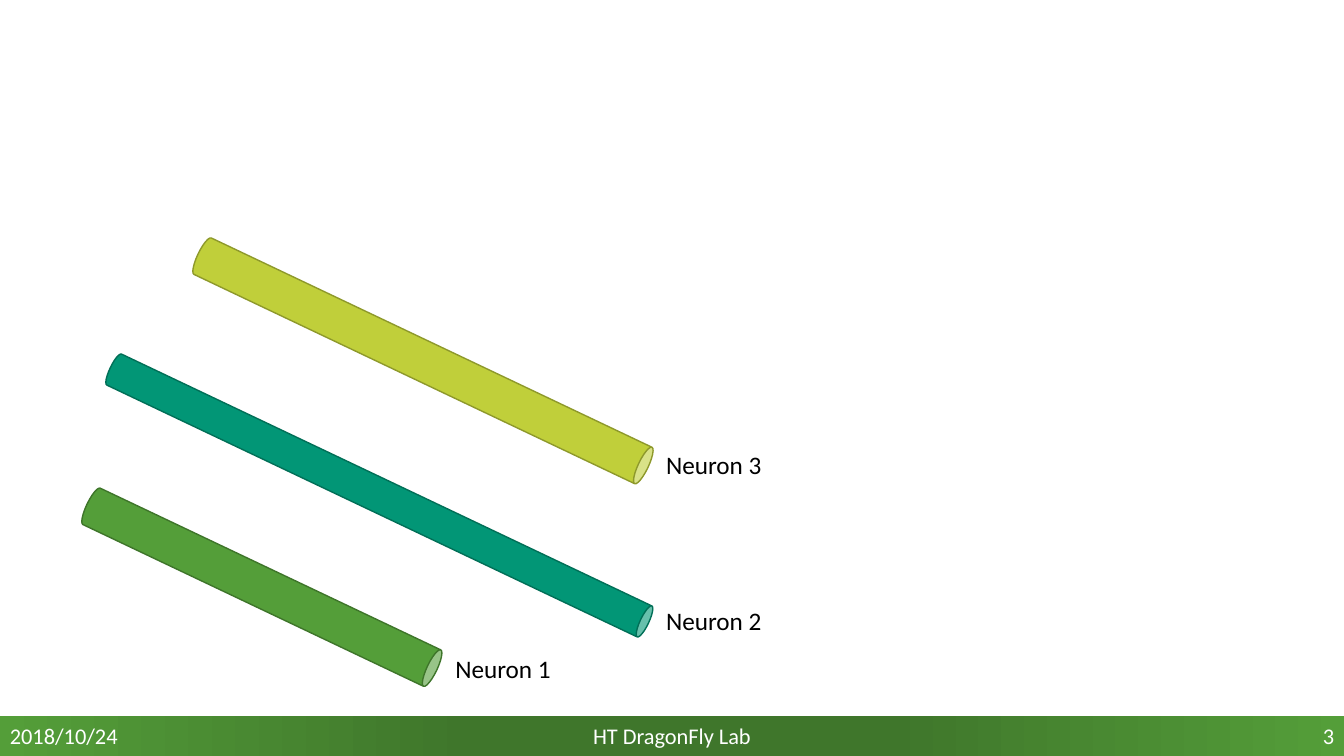
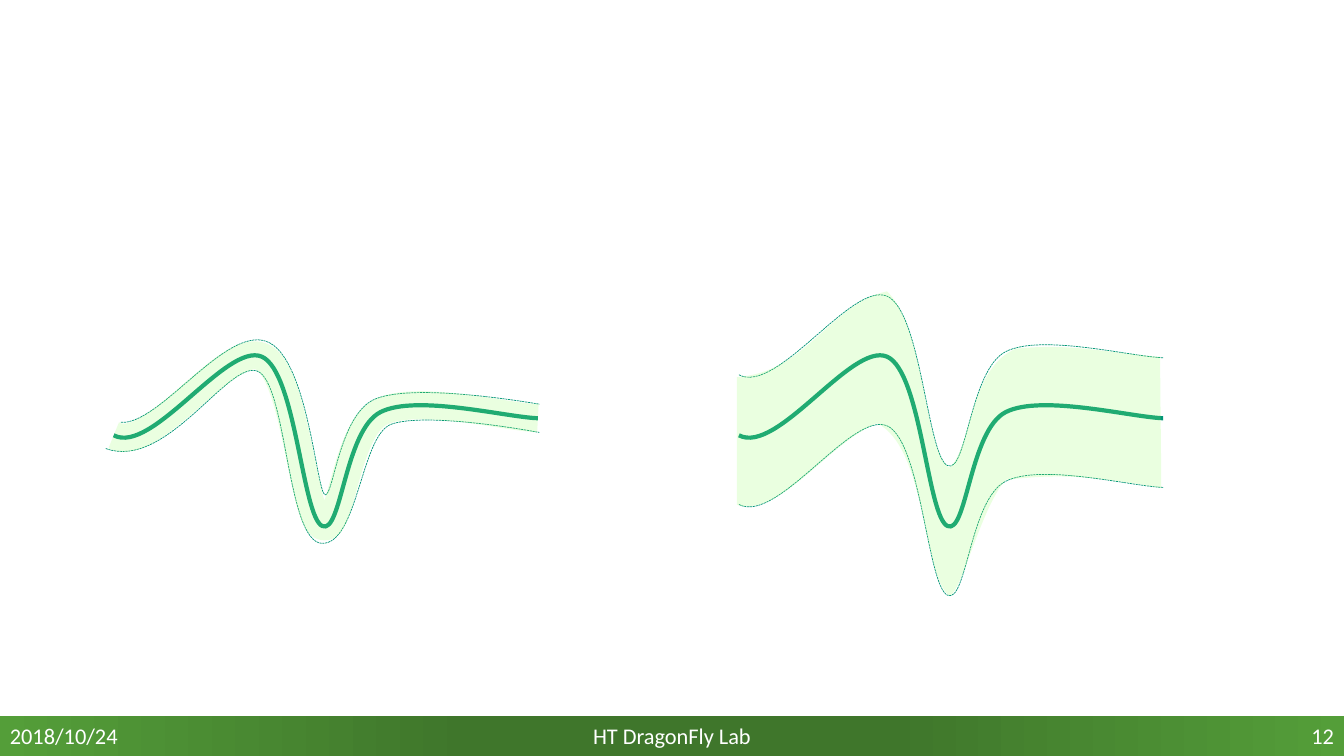
from dataclasses import dataclass

from lxml import etree
from pptx import Presentation
from pptx import util as u
from pptx.dml.color import RGBColor
from pptx.enum import dml, shapes, text
from pptx.oxml import ns


@dataclass(frozen=True)
class Theme:
    font: str = "Calibri"
    footer_size: float = 16
    label_size: float = 18
    white: str = "FFFFFF"
    black: str = "000000"
    green: str = "549E39"
    dark_green: str = "3F762B"
    green_edge: str = "3E752A"
    lime: str = "C0CF3A"
    lime_edge: str = "8E992B"
    teal: str = "029676"
    teal_edge: str = "016F57"
    glow: str = "99FF66"
    glow_opacity: int = 20
    curve_width: float = 3
    bound_width: float = 0.5
    halo_width: float = 20


THEME = Theme()
SLIDE_WIDTH, SLIDE_HEIGHT = 960, 540
FOOTER_HEIGHT = 28.8
FOOTER_TOP = SLIDE_HEIGHT - FOOTER_HEIGHT
FOOTER_STOPS = [(0, THEME.green), (35, THEME.dark_green), (66, THEME.dark_green), (100, THEME.green)]
DATE = "2018/10/24"
LAB = "HT DragonFly Lab"

NEURON_ANGLE = 115.4
NEURONS = [
    ("Neuron 1", (172.6, 281.2, 28.8, 276.5), (318.2, 462.8), THEME.green, THEME.green_edge),
    ("Neuron 3", (287.7, 79.9, 28.8, 355.7), (468.7, 317.5), THEME.lime, THEME.lime_edge),
    ("Neuron 2", (258.7, 141.2, 24.5, 425.5), (468.7, 428.6), THEME.teal, THEME.teal_edge),
]
LABEL_WIDTH, LABEL_HEIGHT = 132.5, 28.8

BOUND_STEPS = 24
SIGNAL = [
    (0, 0), (27.4, 14.4), (80.6, -67), (105.8, -56.2),
    (130.3, -45.4), (134.6, 58.3), (149, 64.8),
    (162.7, 71.3), (164.9, -3.6), (190.6, -16.6),
    (216, -29.5), (280.1, -13), (303, -12.2),
]
LEFT_ORIGIN = (81.2, 311)
RIGHT_ORIGIN = (527.8, 311)
RIGHT_BOUND_SHIFTS = (-43.2, 49.4)
LEFT_BOUNDS = [
    [
        (86.4, 301.7), (113.8, 303.8), (160.6, 233.3), (190.1, 243.8),
        (220.3, 254.2), (226.1, 353.5), (232.4, 353.5),
        (238.3, 353.5), (242.6, 295.9), (267.8, 285.1),
        (293.8, 274.3), (363.6, 285.1), (385.2, 288.7),
    ],
    [
        (75.6, 320.4), (118.8, 336.2), (162.7, 257.8), (183.6, 265),
        (205.2, 272.9), (204.5, 385.9), (229.7, 388.1),
        (255.6, 389.5), (257.8, 311), (279.4, 303.1),
        (301, 295.2), (362.2, 304.6), (385.2, 308.9),
    ],
]
RIGHT_REGION = [
    (526.3, 360.7), (558, 369.4), (591.8, 316.1), (626.4, 302.4),
    (661.7, 319), (659.5, 412.6), (678.2, 425.5),
    (686.9, 423.4), (701.3, 360.7), (718.6, 342.7),
    (748.1, 339.8), (768.2, 337.7), (829.4, 348.5),
    (829.4, 317.5), (828.7, 286.6), (828.7, 254.9),
    (794.2, 252.7), (765.4, 244.8), (725.8, 249.1),
    (692.6, 262.1), (694.1, 320.4), (678.2, 334.1),
    (660.2, 324.7), (661, 234.7), (633.6, 208.1),
    (593.3, 216.7), (576, 266.4), (526.3, 269.3),
]


def color(value):
    return RGBColor.from_string(value)


def points(*values):
    return [u.Pt(value) for value in values]


def set_opacity(parent, percent):
    swatch = parent.find(f"{ns.qn('a:solidFill')}/{ns.qn('a:srgbClr')}")
    etree.SubElement(swatch, ns.qn("a:alpha"), val=str(percent * 1000))


def add_preset(slide, kind, box):
    shape = slide.shapes.add_shape(kind, *points(*box))
    shape.shadow.inherit = False
    return shape


def add_text(slide, box, content, size, ink, align=text.PP_ALIGN.LEFT):
    shape = slide.shapes.add_textbox(*points(*box))
    frame = shape.text_frame
    frame.word_wrap = True
    paragraph = frame.paragraphs[0]
    paragraph.alignment = align
    run = paragraph.add_run()
    run.text = content
    run.font.name = THEME.font
    run.font.size = u.Pt(size)
    run.font.color.rgb = color(ink)
    return frame


def add_footer(slide, number):
    band = add_preset(slide, shapes.MSO_SHAPE.RECTANGLE, (0, FOOTER_TOP, SLIDE_WIDTH, FOOTER_HEIGHT))
    band.line.fill.background()
    band.fill.gradient()
    band.fill.gradient_angle = 0
    stops = band._element.spPr.find(f"{ns.qn('a:gradFill')}/{ns.qn('a:gsLst')}")
    for stop in list(stops):
        stops.remove(stop)
    for position, value in FOOTER_STOPS:
        stop = etree.SubElement(stops, ns.qn("a:gs"), pos=str(position * 1000))
        etree.SubElement(stop, ns.qn("a:srgbClr"), val=value)
    for content, left, width, align in [
        (DATE, 0, 216, text.PP_ALIGN.LEFT),
        (LAB, (SLIDE_WIDTH - 324) / 2, 324, text.PP_ALIGN.CENTER),
        (number, SLIDE_WIDTH - 216, 216, text.PP_ALIGN.RIGHT),
    ]:
        box = (left, FOOTER_TOP, width, FOOTER_HEIGHT)
        frame = add_text(slide, box, content, THEME.footer_size, THEME.white, align)
        frame.vertical_anchor = text.MSO_ANCHOR.MIDDLE


def shift(curve, origin, down=0):
    return [(x + origin[0], y + origin[1] + down) for x, y in curve]


def curve_extent(values):
    reached = []
    for first in range(0, len(values) - 1, 3):
        a, b, c, d = values[first:first + 4]
        for step in range(BOUND_STEPS + 1):
            t = step / BOUND_STEPS
            s = 1 - t
            reached.append(a * s ** 3 + 3 * b * s * s * t + 3 * c * s * t * t + d * t ** 3)
    return min(reached), max(reached)


def add_outline(slide, controls, close=False):
    anchors = [points(*anchor) for anchor in controls[::3]]
    builder = slide.shapes.build_freeform(*anchors[0])
    builder.add_line_segments(anchors[1:], close=close)
    shape = builder.convert_to_shape()
    shape.shadow.inherit = False

    (left, right), (top, bottom) = (curve_extent(values) for values in zip(*controls))
    shape.left, shape.top, shape.width, shape.height = points(left, top, right - left, bottom - top)
    outline = next(shape._element.iter(ns.qn("a:path")))
    outline.set("w", str(shape.width))
    outline.set("h", str(shape.height))
    local = [points(x - left, y - top) for x, y in controls]
    start = outline.find(f"{ns.qn('a:moveTo')}/{ns.qn('a:pt')}")
    start.set("x", str(local[0][0]))
    start.set("y", str(local[0][1]))
    for index, segment in enumerate(outline.findall(ns.qn("a:lnTo"))):
        curve = etree.Element(ns.qn("a:cubicBezTo"))
        for x, y in local[index * 3 + 1:index * 3 + 4]:
            etree.SubElement(curve, ns.qn("a:pt"), x=str(x), y=str(y))
        outline.replace(segment, curve)
    return shape


def add_curve(slide, controls, ink, width, dashed=False):
    shape = add_outline(slide, controls)
    shape.fill.background()
    shape.line.color.rgb = color(ink)
    shape.line.width = u.Pt(width)
    if dashed:
        shape.line.dash_style = dml.MSO_LINE.SQUARE_DOT
    return shape


def build_neurons(slide):
    for _, box, _, fill, edge in NEURONS:
        neuron = add_preset(slide, shapes.MSO_SHAPE.CAN, box)
        neuron.rotation = NEURON_ANGLE
        neuron.fill.solid()
        neuron.fill.fore_color.rgb = color(fill)
        neuron.line.color.rgb = color(edge)
        neuron.line.width = u.Pt(1)
    for name, _, corner, _, _ in sorted(NEURONS):
        box = (*corner, LABEL_WIDTH, LABEL_HEIGHT)
        frame = add_text(slide, box, name, THEME.label_size, THEME.black)
        frame.auto_size = text.MSO_AUTO_SIZE.SHAPE_TO_FIT_TEXT


def build_signals(slide):
    left_signal = shift(SIGNAL, LEFT_ORIGIN)
    right_bounds = [shift(SIGNAL, RIGHT_ORIGIN, down) for down in RIGHT_BOUND_SHIFTS]
    for signal, bounds in [
        (shift(SIGNAL, RIGHT_ORIGIN), right_bounds),
        (left_signal, LEFT_BOUNDS),
    ]:
        add_curve(slide, signal, THEME.teal, THEME.curve_width)
        for bound in bounds:
            add_curve(slide, bound, THEME.teal, THEME.bound_width, dashed=True)

    halo = add_curve(slide, left_signal, THEME.glow, THEME.halo_width)
    halo.line.dash_style = dml.MSO_LINE.SOLID
    set_opacity(halo._element.spPr.find(ns.qn("a:ln")), THEME.glow_opacity)

    region = add_outline(slide, RIGHT_REGION, close=True)
    region.line.fill.background()
    region.fill.solid()
    region.fill.fore_color.rgb = color(THEME.glow)
    set_opacity(region._element.spPr, THEME.glow_opacity)


def main():
    presentation = Presentation()
    presentation.slide_width, presentation.slide_height = points(SLIDE_WIDTH, SLIDE_HEIGHT)
    for number, build in [("3", build_neurons), ("12", build_signals)]:
        slide = presentation.slides.add_slide(presentation.slide_layouts[6])
        add_footer(slide, number)
        build(slide)
    presentation.save("out.pptx")


if __name__ == "__main__":
    main()
